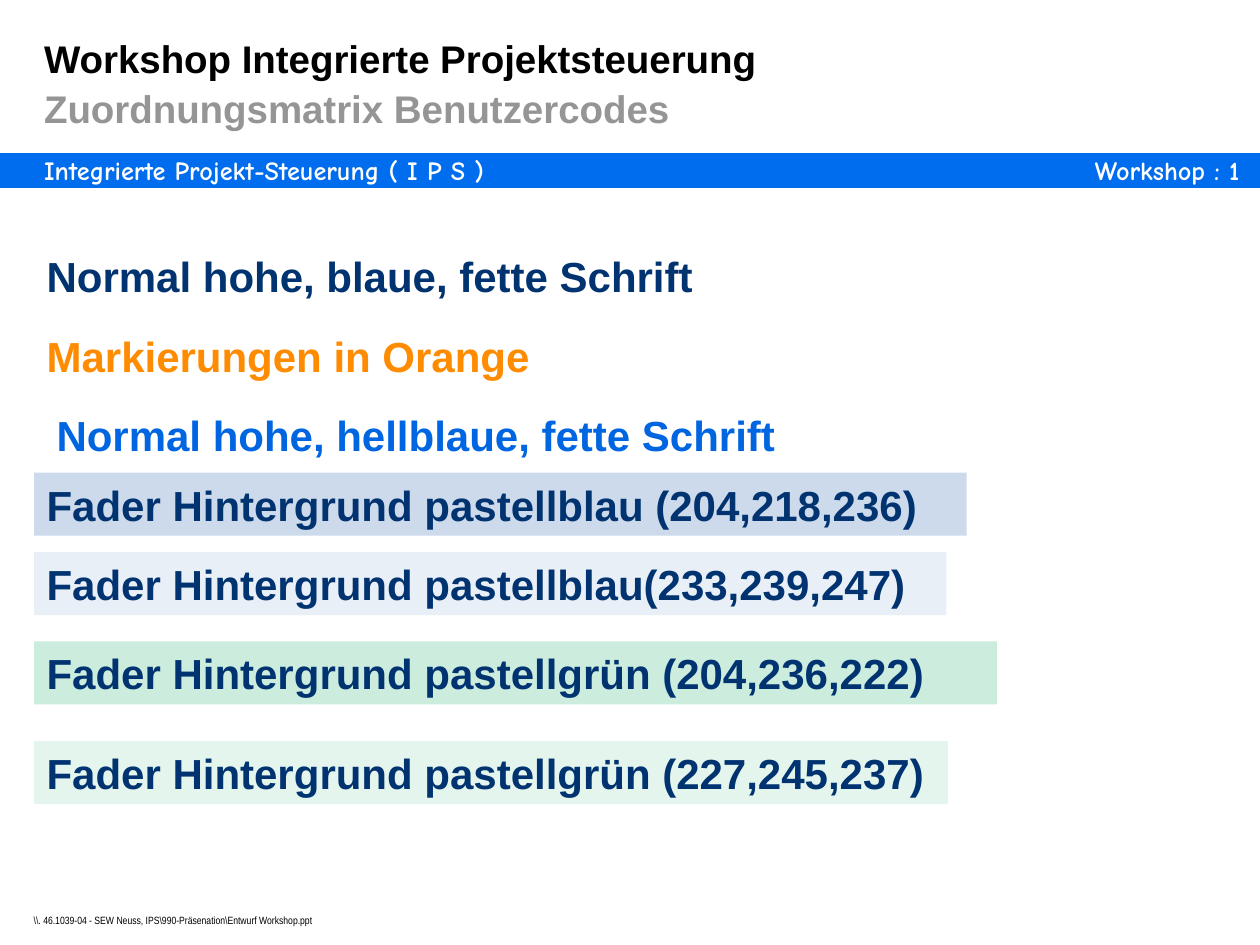
"""Build the workshop slide that shows the text and background colour samples."""
from pptx import Presentation
from pptx.dml.color import RGBColor
from pptx.enum.shapes import MSO_SHAPE
from pptx.enum.text import MSO_ANCHOR, MSO_AUTO_SIZE, PP_ALIGN
from pptx.util import Cm, Pt

BLACK = RGBColor(0, 0, 0)
WHITE = RGBColor(255, 255, 255)
GRAY = RGBColor(149, 149, 149)
BAND_BLUE = RGBColor(0, 108, 238)
NAVY = RGBColor(0, 51, 112)
ORANGE = RGBColor(255, 140, 0)
LIGHT_BLUE = RGBColor(0, 101, 224)
PASTEL_BLUE = RGBColor(204, 218, 236)
PALE_BLUE = RGBColor(233, 239, 247)
PASTEL_GREEN = RGBColor(204, 236, 222)
PALE_GREEN = RGBColor(227, 245, 237)

SLIDE_WIDTH, SLIDE_HEIGHT = 25.4, 19.05
BAND_TOP, BAND_HEIGHT = 3.12, 0.64
MARGIN = 0.89
SAMPLE_LEFT, SAMPLE_HEIGHT = 0.69, 1.27
PADDING = (0.25, 0.13)

TITLE = [
    ("Workshop Integrierte Projektsteuerung", BLACK),
    ("Zuordnungsmatrix Benutzercodes", GRAY),
]
BAND_LABELS = [
    ("Integrierte Projekt-Steuerung ( I P S )", MARGIN, 24.51, PP_ALIGN.LEFT),
    ("Workshop : 1", 19.3, 5.69, PP_ALIGN.RIGHT),
]
SAMPLES = [
    ("Normal hohe, blaue, fette Schrift", SAMPLE_LEFT, 4.93, 14.61, NAVY, None),
    ("Markierungen in Orange", SAMPLE_LEFT, 6.53, 14.61, ORANGE, None),
    ("Normal hohe, hellblaue, fette Schrift", MARGIN, 8.13, 16.21, LIGHT_BLUE, None),
    ("Fader Hintergrund pastellblau (204,218,236)", SAMPLE_LEFT, 9.53, 18.8, NAVY, PASTEL_BLUE),
    ("Fader Hintergrund pastellgrün (204,236,222)", SAMPLE_LEFT, 12.93, 19.41, NAVY, PASTEL_GREEN),
    ("Fader Hintergrund pastellblau(233,239,247)", SAMPLE_LEFT, 11.13, 18.39, NAVY, PALE_BLUE),
    ("Fader Hintergrund pastellgrün (227,245,237)", SAMPLE_LEFT, 14.94, 18.42, NAVY, PALE_GREEN),
]
FOOTER = r"\\. 46.1039-04 - SEW Neuss, IPS\990-Präsenation\Entwurf Workshop.ppt"


def add_panel(slide, left, top, width, height, fill):
    panel = slide.shapes.add_shape(
        MSO_SHAPE.RECTANGLE, Cm(left), Cm(top), Cm(width), Cm(height))
    panel.shadow.inherit = False
    panel.fill.solid()
    panel.fill.fore_color.rgb = fill
    panel.line.fill.background()
    return panel


def add_label(slide, left, top, width, height):
    return slide.shapes.add_textbox(Cm(left), Cm(top), Cm(width), Cm(height))


def write(holder, lines, font, size, bold=True, padding=(0, 0), align=PP_ALIGN.LEFT,
          anchor=MSO_ANCHOR.TOP, spacing=None, grow=True):
    frame = holder.text_frame
    frame.word_wrap = True
    frame.auto_size = MSO_AUTO_SIZE.SHAPE_TO_FIT_TEXT if grow else MSO_AUTO_SIZE.NONE
    frame.vertical_anchor = anchor
    frame.margin_left = frame.margin_right = Cm(padding[0])
    frame.margin_top = frame.margin_bottom = Cm(padding[1])
    for index, (text, color) in enumerate(lines):
        paragraph = frame.add_paragraph() if index else frame.paragraphs[0]
        paragraph.alignment = align
        paragraph.line_spacing = spacing
        run = paragraph.add_run()
        run.text = text
        run.font.name = font
        run.font.size = Pt(size)
        run.font.bold = bold
        run.font.color.rgb = color


def main():
    presentation = Presentation()
    presentation.slide_width = Cm(SLIDE_WIDTH)
    presentation.slide_height = Cm(SLIDE_HEIGHT)
    slide = presentation.slides.add_slide(presentation.slide_layouts[6])

    band = add_panel(slide, 0, BAND_TOP, SLIDE_WIDTH, BAND_HEIGHT, BAND_BLUE)
    band.line.color.rgb = BAND_BLUE
    band.line.width = Pt(2)
    for text, left, width, align in BAND_LABELS:
        label = add_label(slide, left, BAND_TOP, width, BAND_HEIGHT)
        write(label, [(text, WHITE)], "Comic Neue", 15, align=align)

    footer = add_label(slide, 0.43, 18.29, 10.36, 0.51)
    write(footer, [(FOOTER, BLACK)], "Arial Narrow", 6, bold=False, padding=PADDING)

    title = add_label(slide, MARGIN, 0.53, 20.4, 2.11)
    write(title, TITLE, "Arial", 22, anchor=MSO_ANCHOR.BOTTOM, spacing=Pt(28.5), grow=False)

    for text, left, top, width, color, fill in SAMPLES:
        place = (left, top, width, SAMPLE_HEIGHT)
        sample = add_panel(slide, *place, fill) if fill else add_label(slide, *place)
        write(sample, [(text, color)], "Arial", 24, padding=PADDING)

    presentation.save("out.pptx")


if __name__ == "__main__":
    main()
